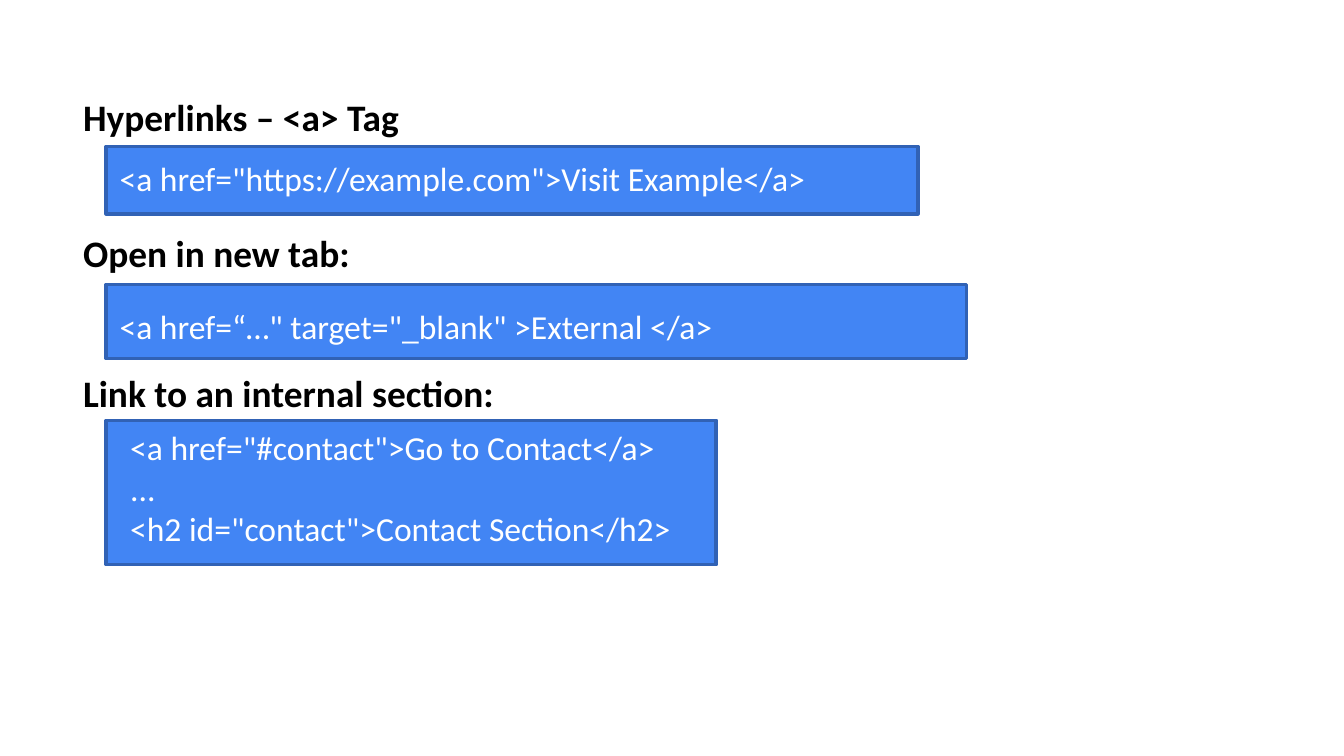
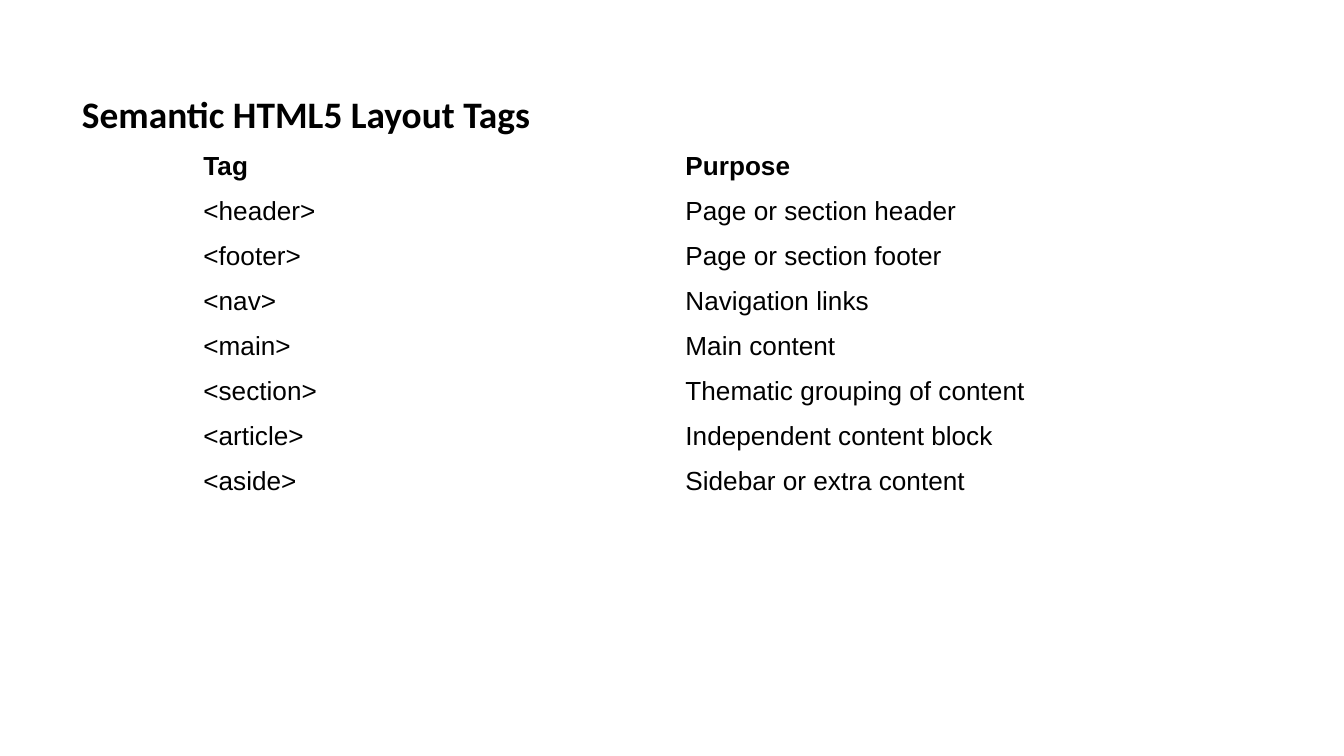
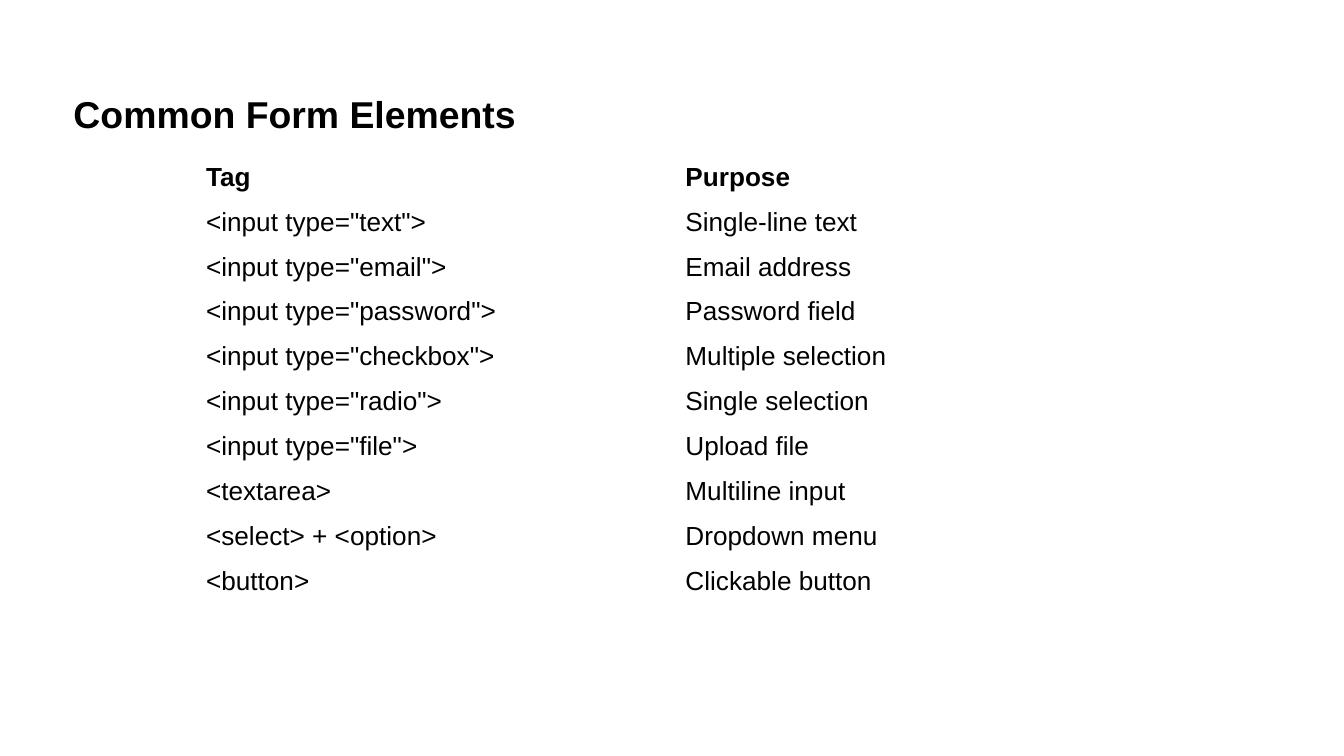
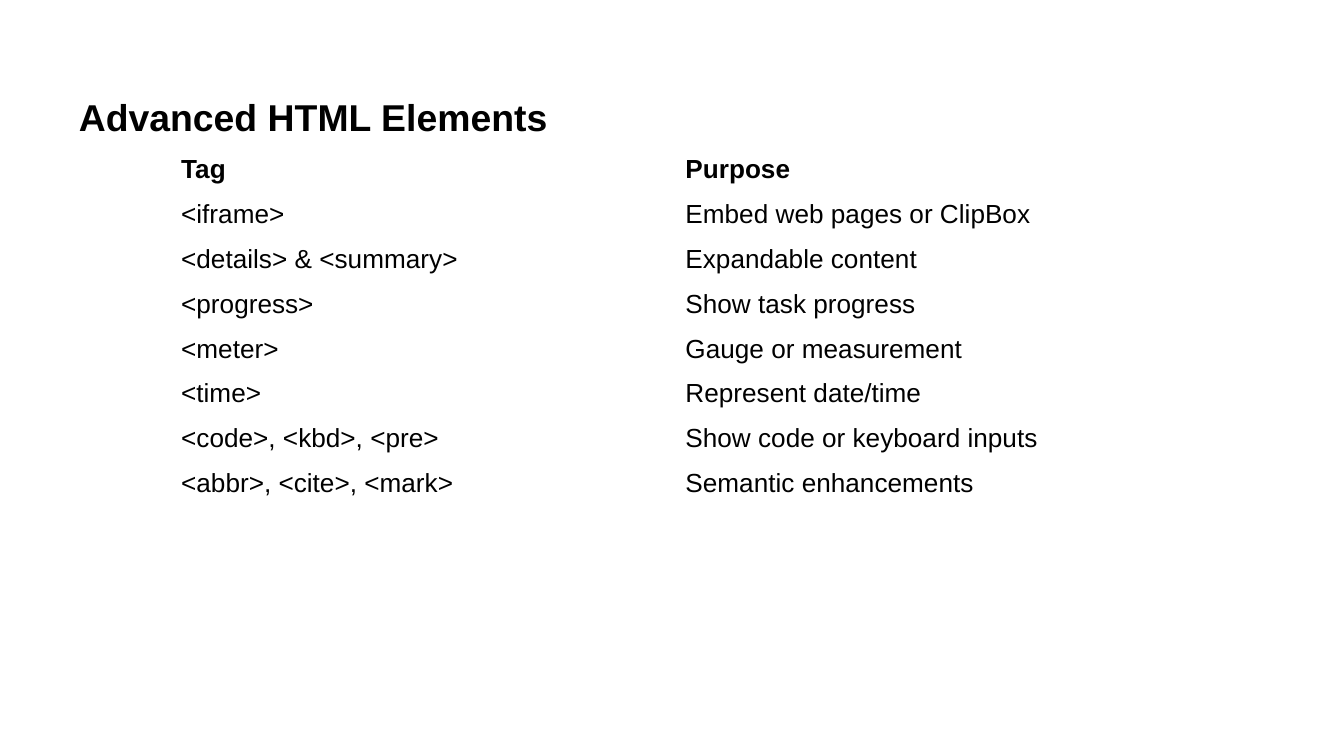
from pptx import Presentation
from pptx.dml.color import RGBColor
from pptx.enum.shapes import MSO_SHAPE
from pptx.enum.text import MSO_ANCHOR, MSO_AUTO_SIZE
from pptx.util import Cm, Pt

BLACK = RGBColor(0x00, 0x00, 0x00)
WHITE = RGBColor(0xFF, 0xFF, 0xFF)
CODE_FILL = RGBColor(0x42, 0x85, 0xF4)
CODE_LINE = RGBColor(0x31, 0x62, 0xB5)

HEADING = {"name": "Calibri", "size": Pt(20), "bold": True}
TABLE_HEADING = {"name": "Arial", "size": Pt(20), "bold": True}
CODE = {"name": "Calibri", "size": Pt(18), "bold": False}
CELL = {"name": "Arial", "size": Pt(14), "bold": False}
CELL_HEADER = {**CELL, "bold": True}

SLIDE_WIDTH = 25.4
SLIDE_HEIGHT = 14.29
HEADING_LEFT = 1.32
HEADING_HEIGHT = 1.12
CODE_LEFT = 2.01
ROW_HEIGHT = 0.85

LINK_EXAMPLES = [
    {
        "heading": ("Hyperlinks – <a> Tag", 1.65, 16.26),
        "box": (2.77, 15.34, 1.27),
        "code": (CODE_LEFT, 2.87, 13.94, 1.02),
        "lines": ['<a href="https://example.com">Visit Example</a>'],
    },
    {
        "heading": ("Open in new tab:", 4.22, 8.71),
        "box": (5.38, 16.26, 1.4),
        "code": (CODE_LEFT, 5.66, 15.93, 1.02),
        "lines": ['<a href=“…" target="_blank" >External </a>'],
    },
    {
        "heading": ("Link to an internal section:", 6.88, 13.34),
        "box": (7.95, 11.53, 2.72),
        "code": (2.21, 7.95, 11.53, 2.57),
        "lines": [
            '<a href="#contact">Go to Contact</a>',
            "...",
            '<h2 id="contact">Contact Section</h2>',
        ],
    },
]

TAG_TABLES = [
    {
        "title": "Semantic HTML5 Layout Tags",
        "title_at": (1.3, 1.6, 9.14),
        "title_style": HEADING,
        "top": 2.72,
        "column_width": 9.11,
        "rows": [
            ("<header>", "Page or section header"),
            ("<footer>", "Page or section footer"),
            ("<nav>", "Navigation links"),
            ("<main>", "Main content"),
            ("<section>", "Thematic grouping of content"),
            ("<article>", "Independent content block"),
            ("<aside>", "Sidebar or extra content"),
        ],
    },
    {
        "title": "Common Form Elements",
        "title_at": (1.14, 1.6, 8.94),
        "title_style": TABLE_HEADING,
        "top": 2.92,
        "column_width": 9.06,
        "rows": [
            ('<input type="text">', "Single-line text"),
            ('<input type="email">', "Email address"),
            ('<input type="password">', "Password field"),
            ('<input type="checkbox">', "Multiple selection"),
            ('<input type="radio">', "Single selection"),
            ('<input type="file">', "Upload file"),
            ("<textarea>", "Multiline input"),
            ("<select> + <option>", "Dropdown menu"),
            ("<button>", "Clickable button"),
        ],
    },
    {
        "title": "Advanced HTML Elements",
        "title_at": (1.24, 1.65, 9.47),
        "title_style": TABLE_HEADING,
        "top": 2.77,
        "column_width": 9.53,
        "rows": [
            ("<iframe>", "Embed web pages or ClipBox"),
            ("<details> & <summary>", "Expandable content"),
            ("<progress>", "Show task progress"),
            ("<meter>", "Gauge or measurement"),
            ("<time>", "Represent date/time"),
            ("<code>, <kbd>, <pre>", "Show code or keyboard inputs"),
            ("<abbr>, <cite>, <mark>", "Semantic enhancements"),
        ],
    },
]


def write_lines(text_frame, lines, style, color):
    """Write one paragraph per line in the given style."""
    for index, line in enumerate(lines):
        paragraph = text_frame.paragraphs[0] if index == 0 else text_frame.add_paragraph()
        run = paragraph.add_run()
        run.text = line
        for attribute, value in style.items():
            setattr(run.font, attribute, value)
        run.font.color.rgb = color


def add_text(slide, bounds, lines, style, color=BLACK, wrap=True):
    """Add a text box that grows with its text."""
    text_frame = slide.shapes.add_textbox(*map(Cm, bounds)).text_frame
    text_frame.word_wrap = wrap
    text_frame.auto_size = MSO_AUTO_SIZE.SHAPE_TO_FIT_TEXT
    write_lines(text_frame, lines, style, color)


def add_code_box(slide, top, width, height):
    """Add the blue panel that lies behind a code sample."""
    bounds = map(Cm, (CODE_LEFT, top, width, height))
    shape = slide.shapes.add_shape(MSO_SHAPE.RECTANGLE, *bounds)
    shape.shadow.inherit = False
    shape.fill.solid()
    shape.fill.fore_color.rgb = CODE_FILL
    shape.line.color.rgb = CODE_LINE
    shape.line.width = Pt(2)


def add_link_example(slide, example):
    """Add a heading with its code sample below."""
    heading, top, width = example["heading"]
    add_text(slide, (HEADING_LEFT, top, width, HEADING_HEIGHT), [heading], HEADING)
    add_code_box(slide, *example["box"])
    add_text(slide, example["code"], example["lines"], CODE, WHITE)


def add_tag_table(slide, top, column_width, rows):
    """Add a plain two-column table centred on the slide."""
    rows = [("Tag", "Purpose"), *rows]
    width = 2 * column_width
    bounds = map(Cm, ((SLIDE_WIDTH - width) / 2, top, width, ROW_HEIGHT * len(rows)))
    table = slide.shapes.add_table(len(rows), 2, *bounds).table
    table.first_row = False
    table.horz_banding = False
    for row_index, row in enumerate(rows):
        table.rows[row_index].height = Cm(ROW_HEIGHT)
        style = CELL if row_index else CELL_HEADER
        for column_index, text in enumerate(row):
            cell = table.cell(row_index, column_index)
            cell.fill.background()
            cell.vertical_anchor = MSO_ANCHOR.MIDDLE
            write_lines(cell.text_frame, [text], style, BLACK)


def main():
    """Build the four slides and save them."""
    presentation = Presentation()
    presentation.slide_width = Cm(SLIDE_WIDTH)
    presentation.slide_height = Cm(SLIDE_HEIGHT)
    blank = presentation.slide_layouts[6]

    slide = presentation.slides.add_slide(blank)
    for example in LINK_EXAMPLES:
        add_link_example(slide, example)

    for content in TAG_TABLES:
        slide = presentation.slides.add_slide(blank)
        title_bounds = (*content["title_at"], HEADING_HEIGHT)
        add_text(slide, title_bounds, [content["title"]], content["title_style"], wrap=False)
        add_tag_table(slide, content["top"], content["column_width"], content["rows"])

    presentation.save("out.pptx")


if __name__ == "__main__":
    main()
